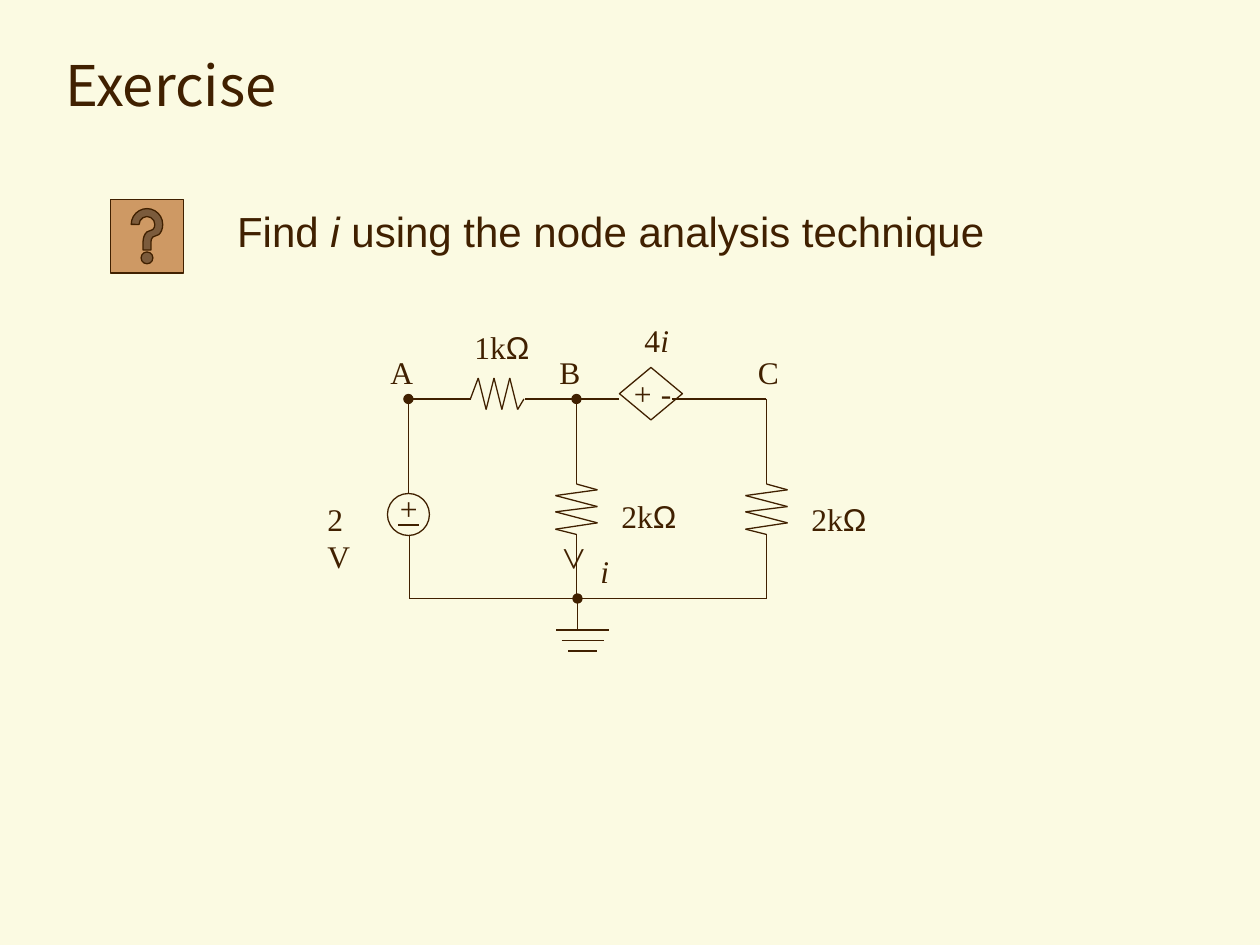
"""Build a circuit exercise slide on a grid of twelfths of an inch."""
from dataclasses import dataclass
from itertools import pairwise

from lxml.etree import SubElement
from pptx import Presentation
from pptx.dml.color import RGBColor
from pptx.enum.shapes import MSO_CONNECTOR, MSO_SHAPE
from pptx.enum.text import MSO_ANCHOR, MSO_AUTO_SIZE, PP_ALIGN
from pptx.oxml.ns import qn
from pptx.util import Inches, Pt


@dataclass(frozen=True)
class Theme:
    paper: RGBColor = RGBColor(0xFB, 0xFA, 0xE2)
    ink: RGBColor = RGBColor(0x40, 0x20, 0x00)
    button: RGBColor = RGBColor(0xCE, 0x99, 0x64)
    title_font: str = "Noto Sans CJK KR"
    body_font: str = "Arial"
    label_font: str = "Times New Roman"
    title_size: int = 32
    body_size: int = 24
    label_size: int = 18
    line_width: float = 0.75


@dataclass(frozen=True)
class Run:
    text: str
    italic: bool = False
    font: str | None = None


@dataclass(frozen=True)
class Label:
    col: float
    row: float
    cols: float
    runs: tuple[Run, ...]
    rows: float = 4.8
    font: str = Theme.label_font
    size: int = Theme.label_size
    rotation: int = 0


@dataclass(frozen=True)
class Wire:
    points: tuple[tuple[float, float], ...]
    dot: bool = False


THEME = Theme()
LEFT, MID, RIGHT = 38.9, 54.9, 73
TOP, BOTTOM = 38, 57
OHM = Run("Ω", font=THEME.body_font)

LABELS = (
    Label(21.4, 19, 75.7,
          (Run("Find "), Run("i", True), Run(" using the node analysis technique")),
          rows=6, font=THEME.body_font, size=THEME.body_size),
    Label(59, 35, 6.8, (Run("+ -", True),)),
    Label(36.9, 46, 4, (Run("+"),)),
    Label(44, 30.7, 7.7, (Run("1k"), OHM)),
    Label(36, 33, 4.5, (Run("A"),)),
    Label(52.1, 33, 4.3, (Run("B"),)),
    Label(71, 33, 4.3, (Run("C"),)),
    Label(60.2, 30, 4.7, (Run("4"), Run("i", True))),
    Label(58, 46.7, 7.7, (Run("2k"), OHM)),
    Label(76.1, 47, 7.7, (Run("2k"), OHM)),
    Label(56, 52, 3.2, (Run("i", True),)),
    Label(30, 47, 6, (Run("2V"),)),
    Label(52.4, 50.5, 5, (Run(">"),), rows=6, size=THEME.body_size, rotation=90),
)

WIRES = (
    Wire(((LEFT, TOP), (44.9, TOP)), dot=True),
    Wire(((LEFT, TOP), (LEFT, 47))),
    Wire(((50, TOP), (MID, TOP))),
    Wire(((MID, TOP), (MID, 44)), dot=True),
    Wire(((MID, TOP), (59, TOP))),
    Wire(((64, TOP), (RIGHT, TOP), (RIGHT, 44))),
    Wire(((39, 51), (39, BOTTOM), (RIGHT, BOTTOM))),
    Wire(((MID, 53), (MID, BOTTOM))),
    Wire(((RIGHT, 53), (RIGHT, BOTTOM))),
    Wire(((55, BOTTOM), (55, 60)), dot=True),
    Wire(((37.9, 50), (39.9, 50))),
)


def grid(units: float) -> int:
    return Inches(units / 12)


def add_line(shapes, start: tuple[float, float], end: tuple[float, float],
             dot: bool = False) -> None:
    sp = shapes.add_connector(MSO_CONNECTOR.STRAIGHT, *map(grid, (*start, *end)))
    sp.line.color.rgb = THEME.ink
    sp.line.width = Pt(THEME.line_width)
    props = sp._element.spPr
    if dot:
        SubElement(props.get_or_add_ln(), qn("a:headEnd"), type="oval")
    SubElement(props, qn("a:effectLst"))


def add_wire(shapes, wire: Wire) -> None:
    for start, end in pairwise(wire.points):
        add_line(shapes, start, end, wire.dot)


def add_flat_resistor(shapes, col: float) -> None:
    peaks = [(col + 0.75 * n, 36 if n % 2 else 39) for n in range(1, 7)]
    points = ((col, TOP), *peaks, (col + 5.1, TOP))
    add_wire(shapes.add_group_shape().shapes, Wire(points))


def add_upright_resistor(shapes, col: float) -> None:
    rows = (46.65, 47.2, 48.25, 48.75, 49.8, 50.4)
    peaks = [(col + (-2 if n % 2 else 2), row) for n, row in enumerate(rows)]
    points = ((col, 44), (col, 46.1), *peaks, (col, 50.9), (col, 53))
    add_wire(shapes.add_group_shape().shapes, Wire(points))


def add_ground(shapes, col: float, row: float) -> None:
    bars = shapes.add_group_shape().shapes
    for n, half in enumerate((2.5, 2, 1.4)):
        add_line(bars, (col - half, row + n), (col + half, row + n))


def add_outline(shapes, kind: MSO_SHAPE, box: tuple[float, ...],
                fill: RGBColor | None = None) -> None:
    sp = shapes.add_shape(kind, *map(grid, box))
    sp.shadow.inherit = False
    sp.line.color.rgb = THEME.ink
    sp.line.width = Pt(THEME.line_width)
    if fill is None:
        sp.fill.background()
    else:
        sp.fill.solid()
        sp.fill.fore_color.rgb = fill


def set_font(font, name: str, size: int) -> None:
    font.name, font.size = name, Pt(size)
    font.color.rgb = THEME.ink


def add_label(shapes, label: Label) -> None:
    sp = shapes.add_textbox(*map(grid, (label.col, label.row, label.cols, label.rows)))
    sp.rotation = label.rotation
    tf = sp.text_frame
    tf.word_wrap = bool(label.rotation)
    p = tf.paragraphs[0]
    set_font(p.font, label.font, label.size)
    for run in label.runs:
        r = p.add_run()
        r.text = run.text
        set_font(r.font, run.font or label.font, label.size)
        r.font.italic = run.italic


def add_title(slide, text: str) -> None:
    sp = slide.shapes.title
    sp.left, sp.top, sp.width, sp.height = map(grid, (5, 3, 110, 10))
    tf = sp.text_frame
    tf.text = text
    tf.auto_size = MSO_AUTO_SIZE.NONE
    tf.vertical_anchor = MSO_ANCHOR.MIDDLE
    p = tf.paragraphs[0]
    p.alignment = PP_ALIGN.LEFT
    set_font(p.font, THEME.title_font, THEME.title_size)


def main() -> None:
    prs = Presentation()
    prs.slide_width, prs.slide_height = Inches(10), Inches(7.5)
    s = prs.slides.add_slide(prs.slide_layouts[5])
    s.background.fill.solid()
    s.background.fill.fore_color.rgb = THEME.paper
    add_title(s, "Exercise")
    add_outline(s.shapes, MSO_SHAPE.ACTION_BUTTON_HELP, (10.5, 19, 7, 7), THEME.button)
    for wire in WIRES:
        add_wire(s.shapes, wire)
    add_flat_resistor(s.shapes, 44.8)
    for col in (MID, RIGHT):
        add_upright_resistor(s.shapes, col)
    add_ground(s.shapes, 55.5, 60)
    add_outline(s.shapes, MSO_SHAPE.OVAL, (36.9, 47, 4, 4))
    add_outline(s.shapes, MSO_SHAPE.DIAMOND, (59, 35, 6, 5))
    for label in LABELS:
        add_label(s.shapes, label)
    prs.save("out.pptx")


if __name__ == "__main__":
    main()
